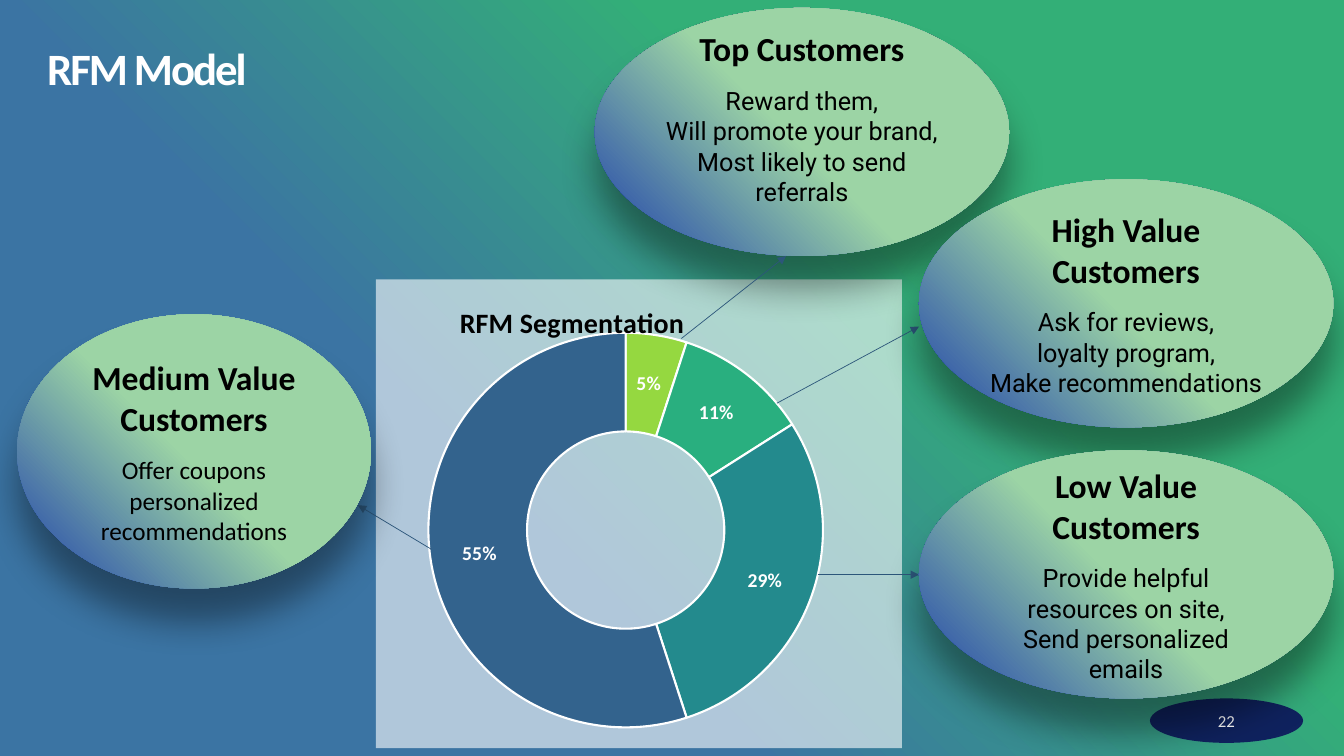
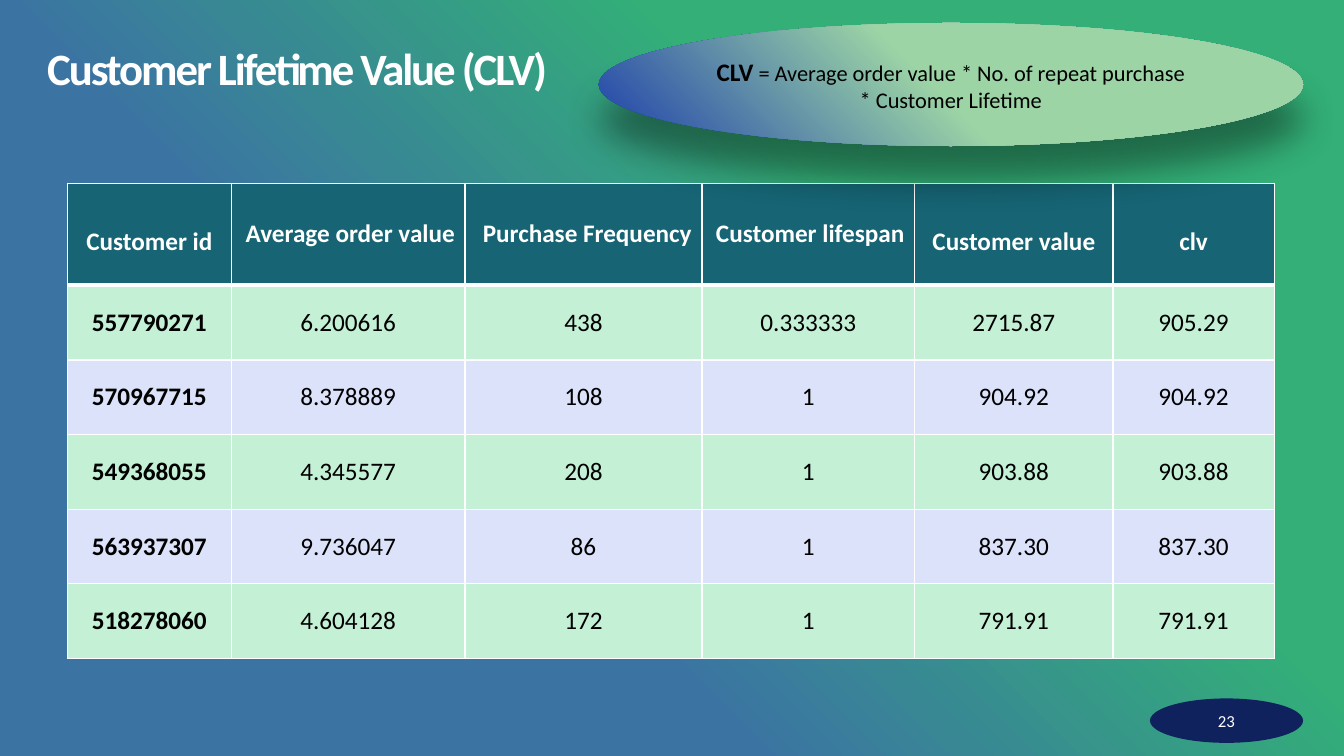
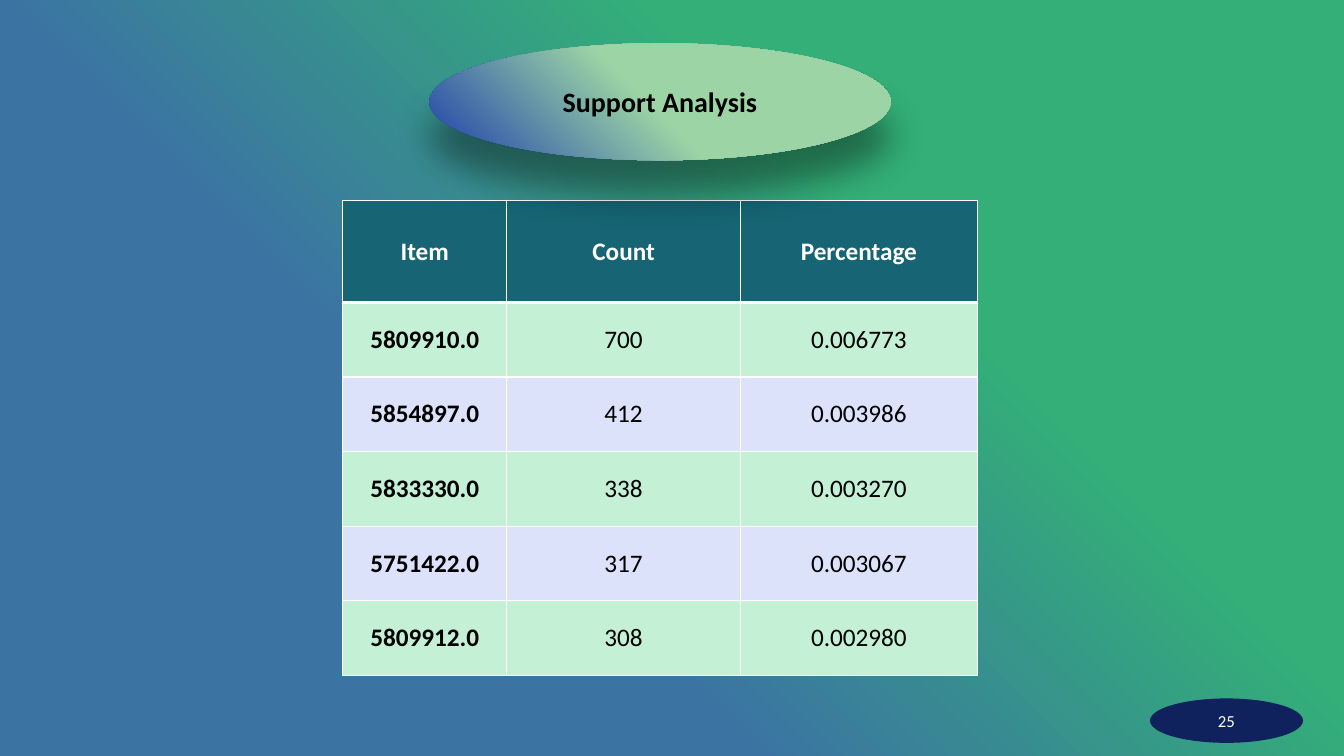
from lxml.etree import SubElement
from pptx import Presentation
from pptx.chart.data import CategoryChartData
from pptx.dml.color import RGBColor
from pptx.enum.chart import XL_CHART_TYPE
from pptx.enum.shapes import MSO_CONNECTOR, MSO_SHAPE
from pptx.enum.text import MSO_ANCHOR, MSO_AUTO_SIZE, PP_ALIGN
from pptx.oxml import parse_xml
from pptx.oxml.ns import nsdecls, qn
from pptx.util import Cm, Pt

WHITE, BLACK, NAVY = "FFFFFF", "000000", "0F225E"
LINE, HEADER = "2C567A", "166474"
BANDS = ("C4F0D6", "DBE2F9")
SLICES = ("95D840", "29AF7F", "238A8D", "33638D")
BACKDROP = ((33, "33AF77"), (64, "3B74A3"))
BUBBLE = ((52, "9CD4A5"), (100, "1B3DAB"))
CENTER, RIGHT, LEFT = PP_ALIGN.CENTER, PP_ALIGN.RIGHT, PP_ALIGN.LEFT


def rgb(value):
    return RGBColor.from_string(value)


def write(p, text, size=18, bold=False, color=BLACK, font="Calibri",
          align=CENTER, spacing=None, after=None):
    """Add a run to a paragraph and format both."""
    r = p.add_run()
    r.text = text
    r.font.size, r.font.bold, r.font.name = Pt(size), bold, font
    r.font.color.rgb = rgb(color)
    p.alignment = align
    if spacing:
        p.line_spacing = spacing
    if after is not None:
        p.space_after = Pt(after)
    return r


def add_color(parent, color, alpha=None):
    clr = SubElement(parent, qn("a:srgbClr"), val=color)
    if alpha is not None:
        SubElement(clr, qn("a:alpha"), val=str(alpha * 1000))


def set_gradient(fill, owner, stops):
    """Radial gradient that starts in the top right corner."""
    fill.gradient()
    grad = next(owner.iter(qn("a:gradFill")))
    for child in list(grad):
        grad.remove(child)
    gs_list = SubElement(grad, qn("a:gsLst"))
    for pos, color in stops:
        add_color(SubElement(gs_list, qn("a:gs"), pos=str(pos * 1000)), color)
    circle = SubElement(grad, qn("a:path"), {"path": "circle"})
    SubElement(circle, qn("a:fillToRect"), l="100000", b="100000")
    SubElement(grad, qn("a:tileRect"), t="-100000", r="-100000")


def set_layout(parent, index, **values):
    """Place a chart part by fractions of the chart area."""
    for old in parent.findall(qn("c:layout")):
        parent.remove(old)
    layout = parse_xml(f"<c:layout {nsdecls('c')}><c:manualLayout/></c:layout>")
    for tag, value in values.items():
        SubElement(layout[0], qn(f"c:{tag}"), val=str(value))
    parent.insert(index, layout)


class Deck:
    def __init__(self):
        self.prs = Presentation()
        self.prs.slide_width, self.prs.slide_height = Cm(33.87), Cm(19.05)
        master = self.prs.slide_master
        set_gradient(master.background.fill, master._element, BACKDROP)
        self.slide = None

    def new_slide(self, number, title=None, title_width=31.47):
        layout = self.prs.slide_layouts[5 if title else 6]
        self.slide = self.prs.slides.add_slide(layout)
        if title:
            self.title(title, title_width)
        sp = self.ellipse(28.98, 17.6, 3.86, 1.12)
        sp.fill.solid()
        sp.fill.fore_color.rgb = rgb(NAVY)
        write(sp.text_frame.paragraphs[0], str(number), size=12, color=WHITE)

    def title(self, text, width):
        sp = self.slide.shapes.title
        sp.left, sp.top, sp.width, sp.height = Cm(1.19), Cm(1.19), Cm(width), Cm(1.19)
        tf = sp.text_frame
        tf.auto_size, tf.vertical_anchor = MSO_AUTO_SIZE.NONE, MSO_ANCHOR.MIDDLE
        tf.margin_left = tf.margin_top = tf.margin_right = tf.margin_bottom = 0
        r = write(tf.paragraphs[0], text, size=32, bold=True, color=WHITE,
                  align=LEFT, spacing=0.9)
        r.font._element.set("spc", "-150")

    def ellipse(self, x, y, w, h):
        sp = self.slide.shapes.add_shape(MSO_SHAPE.OVAL, Cm(x), Cm(y), Cm(w), Cm(h))
        sp.shadow.inherit = False
        sp.line.fill.background()
        sp.text_frame.word_wrap = True
        return sp

    def bubble(self, x, y, w, h):
        """Gradient ellipse with a soft shadow below; returns its text frame."""
        sp = self.ellipse(x, y, w, h)
        set_gradient(sp.fill, sp._element, BUBBLE)
        effects = sp._element.spPr.find(qn("a:effectLst"))
        shadow = SubElement(effects, qn("a:outerShdw"), blurRad=str(Pt(26)),
                            dist=str(Pt(24)), dir="5400000", rotWithShape="0")
        add_color(shadow, BLACK, alpha=39)
        return sp.text_frame

    def callout(self, x, y, heading, lines, w=10.44, h=6.25, font="Roboto"):
        tf = self.bubble(x, y, w, h)
        write(tf.paragraphs[0], heading, size=24, bold=True, after=12)
        for line in lines:
            write(tf.add_paragraph(), line, font=font)
        return tf

    def arrow(self, x1, y1, x2, y2):
        cx = self.slide.shapes.add_connector(
            MSO_CONNECTOR.STRAIGHT, Cm(x1), Cm(y1), Cm(x2), Cm(y2))
        cx.line.color.rgb, cx.line.width = rgb(LINE), Pt(0.5)
        SubElement(cx.line._get_or_add_ln(), qn("a:tailEnd"), type="triangle")
        SubElement(cx._element.spPr, qn("a:effectLst"))

    def doughnut(self, x, y, w, h, title, values):
        data = CategoryChartData()
        data.categories = [str(i + 1) for i in range(len(values))]
        data.add_series("Series 1", values)
        chart = self.slide.shapes.add_chart(
            XL_CHART_TYPE.DOUGHNUT, Cm(x), Cm(y), Cm(w), Cm(h), data).chart
        chart.has_legend = False
        chart.font.size, chart.font.name = Pt(10), "Calibri"
        chart.font.color.rgb = rgb(BLACK)
        # Title and plot area
        chart.has_title = True
        write(chart.chart_title.text_frame.paragraphs[0], title, size=20, bold=True)
        chart.chart_title.include_in_layout = False
        set_layout(chart.chart_title._element, 1,
                   xMode="edge", yMode="edge", x=0.15, y=0.04)
        set_layout(chart._chartSpace.chart.plotArea, 0, layoutTarget="inner",
                   xMode="edge", yMode="edge", x=0.1, y=0.1, w=0.75, h=0.87)
        # Translucent panel behind the ring
        panel = parse_xml(f"<c:spPr {nsdecls('c', 'a')}><a:solidFill/>"
                          "<a:ln><a:noFill/></a:ln></c:spPr>")
        add_color(panel[0], WHITE, alpha=60)
        chart._chartSpace.chart.addnext(panel)
        # Slices and labels
        plot = chart.plots[0]
        plot.vary_by_categories = True
        for i, color in enumerate(SLICES):
            fmt = plot.series[0].points[i].format
            fmt.fill.solid()
            fmt.fill.fore_color.rgb = rgb(color)
            fmt.line.color.rgb, fmt.line.width = rgb(WHITE), Pt(1.5)
        labels = plot.series[0].data_labels
        labels.show_percentage, labels.show_value = True, False
        labels.number_format, labels.number_format_is_linked = "0%", False
        labels.font.size, labels.font.bold, labels.font.name = Pt(14), True, "Calibri"
        labels.font.color.rgb = rgb(WHITE)

    def table(self, x, y, widths, headers, rows):
        """headers holds (text, alignment, line spacing) for each column."""
        head_h, row_h = 2.57, 1.88
        table = self.slide.shapes.add_table(
            len(rows) + 1, len(widths), Cm(x), Cm(y), Cm(sum(widths)),
            Cm(head_h + row_h * len(rows))).table
        for col, width in zip(table.columns, widths):
            col.width = Cm(width)
        for i, row in enumerate(table.rows):
            row.height = Cm(row_h if i else head_h)
        for j, (text, align, spacing) in enumerate(headers):
            self.cell(table, 0, j, text, HEADER, bold=True, color=WHITE,
                      align=align, spacing=spacing)
        for i, row in enumerate(rows, 1):
            for j, text in enumerate(row):
                self.cell(table, i, j, text, BANDS[(i - 1) % 2], bold=j == 0)

    def cell(self, table, i, j, text, fill, **fmt):
        cell = table.cell(i, j)
        cell.vertical_anchor = MSO_ANCHOR.MIDDLE
        cell.fill.solid()
        cell.fill.fore_color.rgb = rgb(fill)
        write(cell.text_frame.paragraphs[0], text, **fmt)
        # White borders, thicker under the header
        borders = {"L": 1, "R": 1, "T": 3 if i == 1 else 1, "B": 1 if i else 3}
        tc_pr = cell._tc.get_or_add_tcPr()
        for k, (side, width) in enumerate(borders.items()):
            ln = parse_xml(f"<a:ln{side} {nsdecls('a')} w='{Pt(width)}'>"
                           f"<a:solidFill/></a:ln{side}>")
            add_color(ln[0], WHITE)
            tc_pr.insert(k, ln)


def rfm_slide(deck):
    deck.new_slide(22, "RFM Model", title_width=13.56)
    deck.doughnut(9.47, 7.04, 13.26, 11.81, "RFM Segmentation", (5, 11, 29, 55))
    tf = deck.callout(14.99, 0.2, "Top Customers",
                      ("Reward them,", "Will promote your brand,",
                       "Most likely to send referrals"))
    tf.margin_bottom = Cm(0.86)
    for ends in ((10.87, 13.84, 9.02, 12.73), (17.17, 8.53, 19.81, 6.45),
                 (19.58, 10.16, 23.16, 8.23), (20.62, 14.48, 23.16, 14.48)):
        deck.arrow(*ends)
    deck.callout(23.16, 4.52, "High Value Customers",
                 ("Ask for reviews,", "loyalty program,", "Make recommendations"))
    deck.callout(23.16, 11.35, "Low Value Customers",
                 ("Provide helpful resources on site,", "Send personalized emails"))
    deck.callout(0.43, 7.92, "Medium Value Customers",
                 ("Offer coupons", "personalized recommendations"),
                 w=8.92, h=6.91, font="Calibri")


def clv_slide(deck):
    deck.new_slide(23, "Customer Lifetime Value (CLV)")
    deck.table(
        1.7, 4.62, (4.13, 5.89, 5.97, 5.36, 5, 4.06),
        (("Customer id", CENTER, 1.5), ("Average order value", RIGHT, None),
         ("Purchase Frequency", RIGHT, None), ("Customer lifespan", RIGHT, None),
         ("Customer value", CENTER, 1.5), ("clv", CENTER, 1.5)),
        (("557790271", "6.200616", "438", "0.333333", "2715.87", "905.29"),
         ("570967715", "8.378889", "108", "1", "904.92", "904.92"),
         ("549368055", "4.345577", "208", "1", "903.88", "903.88"),
         ("563937307", "9.736047", "86", "1", "837.30", "837.30"),
         ("518278060", "4.604128", "172", "1", "791.91", "791.91")))
    p = deck.bubble(15.09, 0.58, 17.75, 3.1).paragraphs[0]
    write(p, "CLV", bold=True)
    write(p, " = Average order value * No. of repeat purchase * Customer Lifetime",
          size=16)


def support_slide(deck):
    deck.new_slide(25)
    deck.table(
        8.64, 5.05, (4.13, 5.89, 5.97),
        [(text, CENTER, None) for text in ("Item", "Count", "Percentage")],
        (("5809910.0", "700", "0.006773"), ("5854897.0", "412", "0.003986"),
         ("5833330.0", "338", "0.003270"), ("5751422.0", "317", "0.003067"),
         ("5809912.0", "308", "0.002980")))
    p = deck.bubble(10.82, 1.09, 11.63, 2.95).paragraphs[0]
    write(p, "Support Analysis", size=20, bold=True)


def main():
    deck = Deck()
    for build in (rfm_slide, clv_slide, support_slide):
        build(deck)
    deck.prs.save("out.pptx")


if __name__ == "__main__":
    main()
